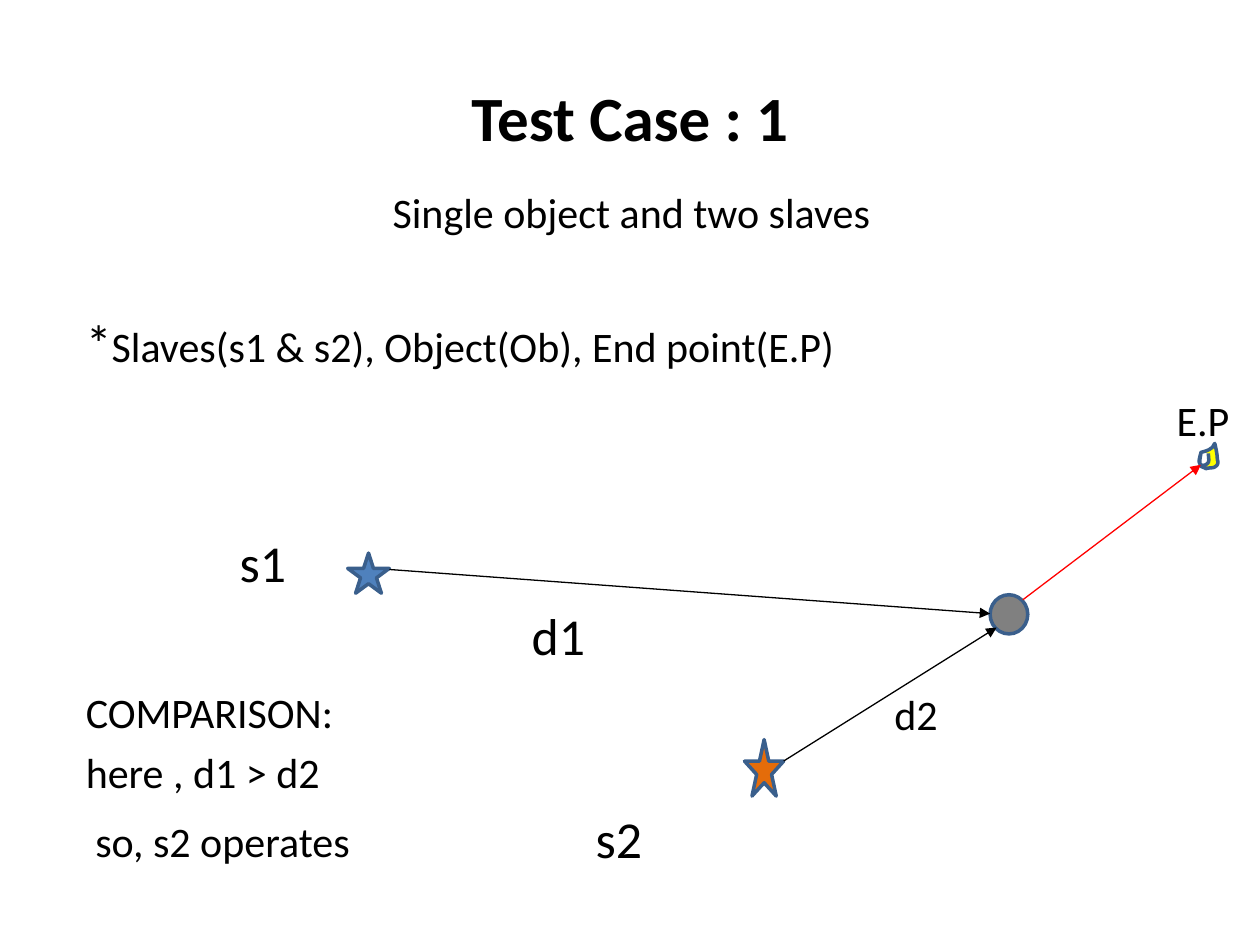
"""Build the slide for test case 1: a single object and two slaves."""
from typing import NamedTuple

from lxml import etree
from pptx import Presentation
from pptx.dml.color import RGBColor
from pptx.enum.shapes import MSO_CONNECTOR, MSO_SHAPE
from pptx.enum.text import MSO_ANCHOR, PP_ALIGN
from pptx.oxml.ns import qn
from pptx.util import Cm, Pt

STAR, CIRCLE = MSO_SHAPE.STAR_5_POINT, MSO_SHAPE.OVAL
STRAIGHT = MSO_CONNECTOR.STRAIGHT
LEFT, CENTER = PP_ALIGN.LEFT, PP_ALIGN.CENTER
TOP, MIDDLE = MSO_ANCHOR.TOP, MSO_ANCHOR.MIDDLE
FONT = "Calibri"
COLORS = {
    "text": "000000",
    "outline": "3A5F8C",
    "slave1": "4F81BD",
    "slave2": "E46C0A",
    "object": "808080",
    "end_point": "FFFF00",
    "distance": "000000",
    "delivery": "FF0000",
}
CURVE_STEPS = 8


class Label(NamedTuple):
    left: float
    top: float
    width: float
    height: float
    lines: tuple[str, ...]
    size: float = 24
    bold: bool = False
    align: PP_ALIGN = LEFT
    anchor: MSO_ANCHOR = TOP
    gaps: tuple[float, ...] = (0,)


class Marker(NamedTuple):
    preset: MSO_SHAPE
    left: float
    top: float
    width: float
    height: float
    color: str


class Arrow(NamedTuple):
    start: tuple[float, float]
    end: tuple[float, float]
    color: str


LABELS = (
    Label(1.27, 0.76, 22.86, 3.18, ("Test Case : 1",), 36, True, CENTER, MIDDLE),
    Label(1.3, 3.76, 22.86, 1.03, ("Single object and two slaves",), align=CENTER),
    Label(23.72, 7.96, 1.6, 1.03, ("E.P",)),
    Label(4.83, 10.69, 1.6, 1.27, ("s1",), 29.6),
    Label(10.72, 12.17, 1.6, 1.27, ("d1",), 29.6),
    Label(12.01, 16.26, 1.6, 1.27, ("s2",), 29.6),
    Label(18.03, 13.89, 1.35, 1.03, ("d2",)),
    Label(1.73, 13.83, 8, 3.7,
          ("COMPARISON:", "here , d1 > d2", " so, s2 operates"), gaps=(0, 5.5, 10.7)),
)
LEGEND = Label(1.73, 6.27, 20, 1.27, ("*",), 29.6)
LEGEND_TEXT = "Slaves(s1 & s2), Object(Ob), End point(E.P)"
MARKERS = (
    Marker(STAR, 7.01, 11.15, 0.84, 0.81, "slave1"),
    Marker(STAR, 15.01, 14.91, 0.79, 1.14, "slave2"),
    Marker(CIRCLE, 19.96, 11.99, 0.76, 0.79, "object"),
)
ARROWS = (
    Arrow((7.85, 11.48), (19.96, 12.37), "distance"),
    Arrow((15.8, 15.34), (20.09, 12.65), "distance"),
    Arrow((20.62, 12.09), (24.21, 9.37), "delivery"),
)
END_POINT_START = (24.21, 9.12)
END_POINT_CURVES = (
    ((24.21, 9.19), (24.16, 9.32), (24.21, 9.40)),
    ((24.23, 9.42), (24.28, 9.42), (24.31, 9.45)),
    ((24.38, 9.42), (24.46, 9.45), (24.51, 9.40)),
    ((24.56, 9.37), (24.56, 9.30), (24.54, 9.27)),
    ((24.54, 9.14), (24.51, 9.04), (24.49, 8.94)),
    ((24.46, 8.97), (24.46, 9.02), (24.41, 9.04)),
    ((24.36, 9.09), (24.21, 9.12), (24.21, 9.12)),
    ((24.21, 9.17), (24.13, 9.32), (24.21, 9.37)),
    ((24.26, 9.40), (24.33, 9.37), (24.36, 9.32)),
    ((24.38, 9.27), (24.36, 9.22), (24.36, 9.14)),
)


def rgb(name: str) -> RGBColor:
    """Look up a named colour."""
    return RGBColor.from_string(COLORS[name])


def style_run(run, size: float, bold: bool = False) -> None:
    """Set the font of a run."""
    run.font.name = FONT
    run.font.size = Pt(size)
    run.font.bold = bold
    run.font.color.rgb = rgb("text")


def add_label(slide, label: Label):
    """Draw a text label and return its text frame."""
    box = slide.shapes.add_textbox(*map(Cm, label[:4]))
    frame = box.text_frame
    frame.word_wrap = True
    frame.vertical_anchor = label.anchor
    frame.margin_left = frame.margin_right = frame.margin_top = frame.margin_bottom = 0
    frame.text = "\n".join(label.lines)
    for paragraph, gap in zip(frame.paragraphs, label.gaps):
        paragraph.alignment = label.align
        paragraph.space_before = Pt(gap)
        for run in paragraph.runs:
            style_run(run, label.size, label.bold)
    return frame


def style_marker(marker, color: str) -> None:
    """Set the fill and outline of a marker."""
    marker.shadow.inherit = False
    marker.fill.solid()
    marker.fill.fore_color.rgb = rgb(color)
    marker.line.color.rgb = rgb("outline")
    marker.line.width = Pt(2)


def add_arrow(slide, arrow: Arrow) -> None:
    """Draw a thin arrow with a triangular head at its end."""
    connector = slide.shapes.add_connector(
        STRAIGHT, *map(Cm, arrow.start + arrow.end))
    connector.line.color.rgb = rgb(arrow.color)
    connector.line.width = Pt(0.75)
    properties = connector._element.spPr
    head = etree.SubElement(properties.find(qn("a:ln")), qn("a:tailEnd"))
    head.set("type", "triangle")
    etree.SubElement(properties, qn("a:effectLst"))


def curve_points(start, curves):
    """List points along a chain of cubic curves."""
    points = []
    for first, second, end in curves:
        for step in range(1, CURVE_STEPS + 1):
            t = step / CURVE_STEPS
            weights = ((1 - t) ** 3, 3 * t * (1 - t) ** 2, 3 * t * t * (1 - t), t ** 3)
            points.append(tuple(
                Cm(sum(w * c for w, c in zip(weights, axis)))
                for axis in zip(start, first, second, end)))
        start = end
    return points


def add_end_point(slide) -> None:
    """Draw the hand-drawn end point."""
    builder = slide.shapes.build_freeform(*map(Cm, END_POINT_START))
    builder.add_line_segments(
        curve_points(END_POINT_START, END_POINT_CURVES), close=False)
    style_marker(builder.convert_to_shape(), "end_point")


def main() -> None:
    """Build and save the slide."""
    deck = Presentation()
    deck.slide_width, deck.slide_height = Cm(25.4), Cm(19.05)
    slide = deck.slides.add_slide(deck.slide_layouts[6])
    for label in LABELS:
        add_label(slide, label)
    legend = add_label(slide, LEGEND).paragraphs[0].add_run()
    legend.text = LEGEND_TEXT
    style_run(legend, 24)
    for marker in MARKERS:
        shape = slide.shapes.add_shape(marker.preset, *map(Cm, marker[1:5]))
        style_marker(shape, marker.color)
    add_end_point(slide)
    for arrow in ARROWS:
        add_arrow(slide, arrow)
    deck.save("out.pptx")


main()
